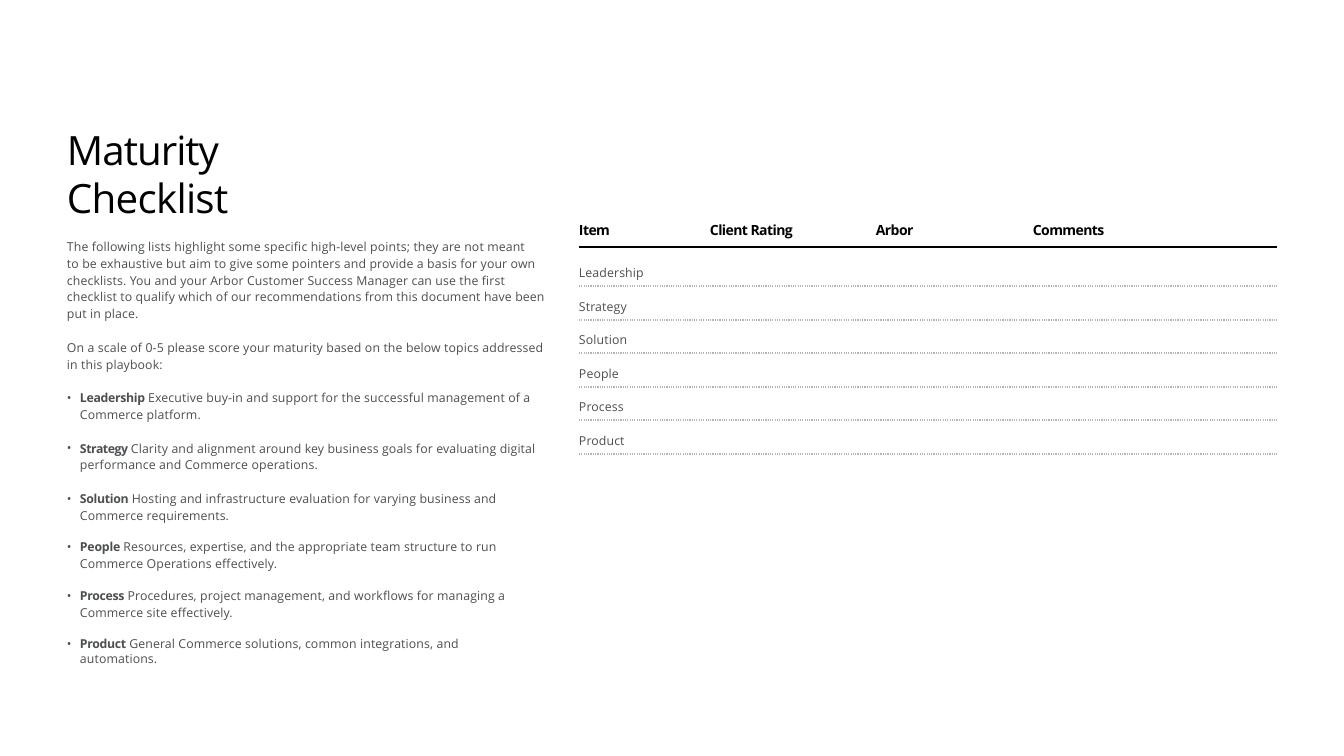
from dataclasses import dataclass

from lxml import etree
from pptx import Presentation
from pptx import util as u
from pptx.dml.color import RGBColor
from pptx.enum import dml, shapes
from pptx.enum import text as t
from pptx.oxml import ns

PX = 914400 / 100.8


@dataclass(frozen=True)
class Theme:
    font: str = "Open Sans"
    black: str = "000000"
    grey: str = "4B4F51"
    dots: str = "B4B5B7"
    title: float = 28.8
    header: float = 10
    body: float = 8.8
    rule: float = 0.82
    body_tracking: float = 0.12


THEME = Theme()

INTRO = [
    "The following lists highlight some specific high-level points; they are not meant\v"
    "to be exhaustive but aim to give some pointers and provide a basis for your own "
    "checklists. You and your Arbor Customer Success Manager can use the first "
    "checklist to qualify which of our recommendations from this document have been "
    "put in place.",
    "On a scale of 0-5 please score your maturity based on the below topics addressed "
    "in this playbook:",
]
# Topic, its tracking, description, space before in points, line spacing
TOPICS = [
    ("Leadership", -0.2, "Executive buy-in and support for the successful management of a "
     "Commerce platform.", 12, 1.14),
    ("Strategy", -0.3, "Clarity and alignment around key business goals for evaluating digital "
     "performance and Commerce operations.", 12, 1.14),
    ("Solution", -0.2, "Hosting and infrastructure evaluation for varying business and "
     "Commerce requirements.", 12, 1.14),
    ("People", -0.1, "Resources, expertise, and the appropriate team structure to run "
     "Commerce Operations effectively.", 10.5, 1.14),
    ("Process", -0.2, "Procedures, project management, and workflows for managing a "
     "Commerce site effectively.", 10.5, 1.14),
    ("Product", -0.2, "General Commerce solutions, common integrations, and\vautomations.", 12, 1),
]
HEADERS = ["Item", "Client Rating", "Arbor", "Comments"]


def px(value):
    return u.Emu(round(value * PX))


def assign(target, values):
    for name, value in values.items():
        setattr(target, name, value)


def write(paragraph, words, size, color, bold=False, tracking=THEME.body_tracking):
    """Adds styled text, turning each vertical tab into a line break."""
    for i, line in enumerate(words.split("\v")):
        if i:
            paragraph.add_line_break()
        run = paragraph.add_run()
        run.text = line
        assign(run.font, dict(name=THEME.font, size=u.Pt(size), bold=bold))
        run.font.color.rgb = RGBColor.from_string(color)
        run.font._element.set("spc", str(round(tracking * 100)))


def set_frame(frame):
    assign(frame, dict(margin_left=0, margin_right=0, margin_top=px(1), margin_bottom=0,
                       word_wrap=True, auto_size=t.MSO_AUTO_SIZE.NONE,
                       vertical_anchor=t.MSO_ANCHOR.TOP))


def add_bullet(paragraph, indent):
    props = paragraph._p.get_or_add_pPr()
    props.set("marL", str(px(indent)))
    props.set("indent", str(-px(indent)))
    etree.SubElement(props, ns.qn("a:buFont")).set("typeface", THEME.font)
    etree.SubElement(props, ns.qn("a:buChar")).set("char", "\u2022")


def add_rule(slide, left, y, width, color, dash):
    rule = slide.shapes.add_connector(shapes.MSO_CONNECTOR.STRAIGHT,
                                      px(left), px(y), px(left + width), px(y))
    assign(rule.line, dict(width=u.Pt(THEME.rule), dash_style=dash))
    rule.line.color.rgb = RGBColor.from_string(color)
    etree.SubElement(rule._element.spPr, ns.qn("a:effectLst"))


def build_title(slide, left, top, width, height):
    title = slide.shapes.title
    assign(title, dict(left=px(left), top=px(top), width=px(width), height=px(height)))
    set_frame(title.text_frame)
    heading = title.text_frame.paragraphs[0]
    assign(heading, dict(alignment=t.PP_ALIGN.LEFT, space_before=u.Pt(0.8), line_spacing=1.0))
    write(heading, "Maturity\v", THEME.title, THEME.black, tracking=-0.7)
    write(heading, "Checklist", THEME.title, THEME.black, tracking=-0.5)


def build_guidance(slide, left, top, width, height):
    frame = slide.shapes.add_textbox(px(left), px(top), px(width), px(height)).text_frame
    set_frame(frame)
    # Introduction
    for i, words in enumerate(INTRO):
        intro = frame.add_paragraph() if i else frame.paragraphs[0]
        assign(intro, dict(space_before=u.Pt(12 if i else 0.6), line_spacing=1.14))
        write(intro, words, THEME.body, THEME.grey)
    # Topics
    for name, tracking, description, gap, spacing in TOPICS:
        topic = frame.add_paragraph()
        assign(topic, dict(space_before=u.Pt(gap), line_spacing=spacing))
        add_bullet(topic, 13)
        write(topic, name + " ", THEME.body, THEME.grey, bold=True, tracking=tracking)
        write(topic, description, THEME.body, THEME.grey)


def build_checklist(slide, left, top, width, height):
    starts = [0, 131, 297, 454, width]
    header_end, first_end = 29, 68
    step = (height - first_end) / (len(TOPICS) - 1)
    ends = [0, header_end] + [round(first_end + step * i) for i in range(len(TOPICS))]
    table = slide.shapes.add_table(len(TOPICS) + 1, len(HEADERS), px(left), px(top),
                                   px(width), px(height)).table
    assign(table, dict(first_row=False, horz_banding=False))
    # "No Style, No Grid"
    table._tbl.tblPr.find(ns.qn("a:tableStyleId")).text = "{2D5ABB26-0587-4C30-8999-92F81FD0307C}"
    for column, start, end in zip(table.columns, starts, starts[1:]):
        column.width = px(end - start)
    for row, start, end in zip(table.rows, ends, ends[1:]):
        row.height = px(end - start)

    # Entries
    rows = [HEADERS] + [[topic[0], "", "", ""] for topic in TOPICS]
    for r, labels in enumerate(rows):
        header = r == 0
        for c, label in enumerate(labels):
            cell = table.cell(r, c)
            assign(cell, dict(margin_left=0, margin_right=0, margin_top=0,
                              margin_bottom=px(7 if header else 5),
                              vertical_anchor=t.MSO_ANCHOR.BOTTOM))
            cell.fill.background()
            entry = cell.text_frame.paragraphs[0]
            if header:
                write(entry, label, THEME.header, THEME.black, bold=True, tracking=-0.4)
            elif label:
                write(entry, label, THEME.body, THEME.grey)
            else:
                etree.SubElement(entry._p, ns.qn("a:endParaRPr"), sz=str(round(THEME.body * 100)))

    # Rules below the rows
    dash = dml.MSO_LINE
    for r, end in enumerate(ends[1:]):
        color, style = (THEME.dots, dash.ROUND_DOT) if r else (THEME.black, dash.SOLID)
        if r:
            style = dash.SQUARE_DOT if style is None else style
        add_rule(slide, left, top + end, width, color, style)


def main():
    deck = Presentation()
    assign(deck, dict(slide_width=px(1344), slide_height=px(756)))
    slide = deck.slides.add_slide(deck.slide_layouts[5])
    build_title(slide, 67, 124, 325, 100)
    build_guidance(slide, 67, 236, 486, 430)
    build_checklist(slide, 579, 218, 698, 236)
    deck.save("out.pptx")


main()
